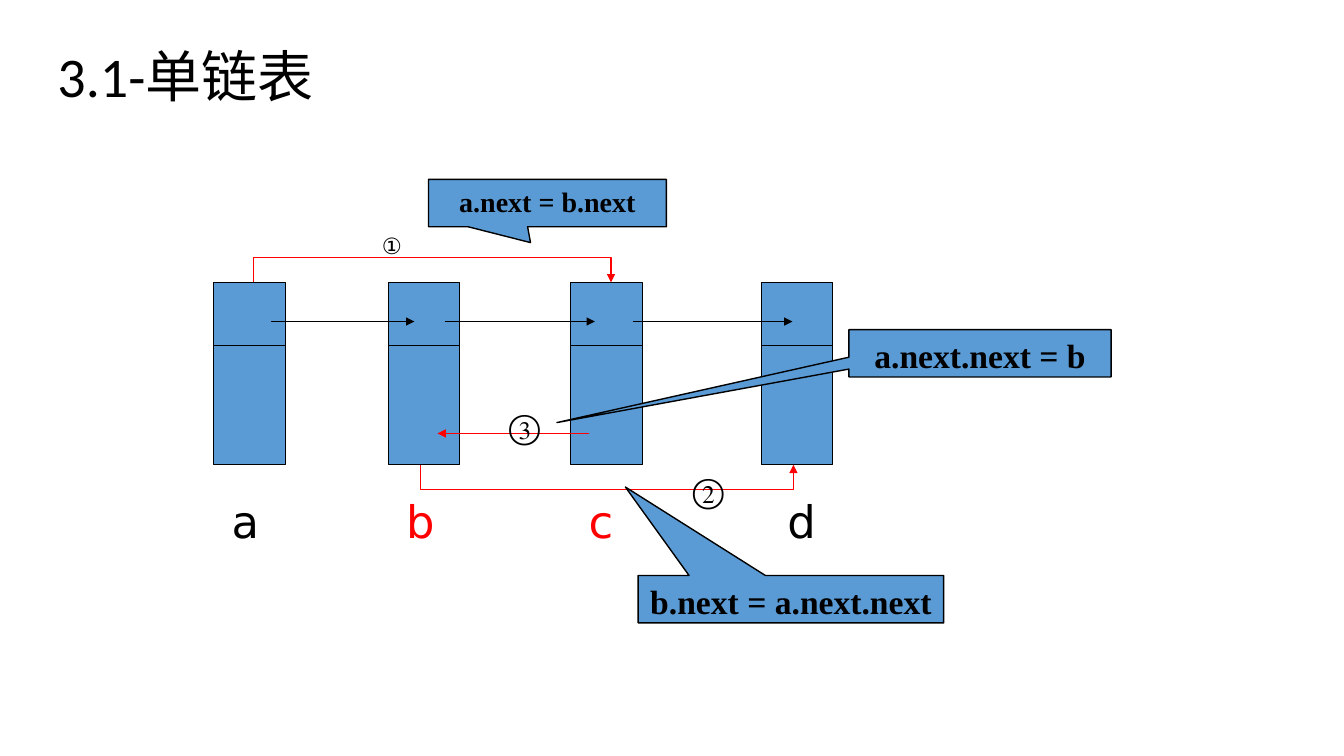
from dataclasses import dataclass

from lxml.etree import SubElement
from pptx import Presentation
from pptx.dml.color import RGBColor
from pptx.enum.shapes import MSO_CONNECTOR, MSO_SHAPE
from pptx.enum.text import MSO_ANCHOR, PP_ALIGN
from pptx.oxml.ns import qn
from pptx.util import Inches, Pt

COLORS = {"node": "5B9BD5", "ink": "000000", "change": "FF0000"}
SERIF, SANS = "Times New Roman", "DejaVu Sans"
NODE_TOP, NODE_WIDTH, NODE_HEIGHT = 2.8, 0.71, 1.81
DIVIDER_Y, LINK_Y, LABEL_Y = 3.43, 3.19, 4.85
BEND_DEPTH, BEND_THICKNESS = 0.25, 0.002


@dataclass
class Node:
    name: str
    left: float
    label_left: float
    label_width: float
    color: str


@dataclass
class Arrow:
    start: float
    end: float
    y: float
    color: str


@dataclass
class Bend:
    start: float
    end: float
    y: float
    rotation: int
    flip: str
    depth: float


@dataclass
class Callout:
    text: str
    left: float
    top: float
    width: float
    size: int
    tip: tuple[float, float]


@dataclass
class Step:
    text: str
    left: float
    top: float
    width: float
    height: float
    size: int
    font: str
    wrap: bool
    before: int


NODES = [
    Node("a", 2.12, 2.2, 0.41, "ink"),
    Node("b", 3.85, 3.93, 0.41, "change"),
    Node("c", 5.66, 5.74, 0.63, "change"),
    Node("d", 7.55, 7.71, 0.71, "ink"),
]
ARROWS = [
    Arrow(2.69, 4.11, LINK_Y, "ink"),
    Arrow(4.41, 5.9, LINK_Y, "ink"),
    Arrow(6.28, 7.86, LINK_Y, "ink"),
    Arrow(5.84, 4.34, 4.3, "change"),
]
BENDS = [
    Bend(2.51, 6.06, NODE_TOP, 90, "flipV", -BEND_DEPTH),
    Bend(4.17, 7.87, NODE_TOP + NODE_HEIGHT, 270, "flipH", BEND_DEPTH),
]
CALLOUTS = [
    Callout("a.next = b.next", 4.25, 1.78, 2.36, 20, (-0.071, 0.835)),
    Callout("a.next.next = b", 8.42, 3.27, 2.6, 24, (-1.614, 1.463)),
    Callout("b.next = a.next.next", 6.33, 5.71, 3.03, 24, (-0.542, -2.368)),
]
STEPS = [
    Step("①", 3.69, 2.25, 0.42, 0.37, 16, SANS, False, 0),
    Step("③", 4.95, 3.98, 0.47, 0.4, 24, SERIF, True, 0),
    Step("②", 6.77, 4.61, 0.45, 0.4, 24, SERIF, False, 0),
]


def rgb(color: str) -> RGBColor:
    return RGBColor.from_string(COLORS[color])


def write(shape, text: str, color: str = "ink", align=PP_ALIGN.LEFT, **formats) -> None:
    para = shape.text_frame.paragraphs[0]
    para.alignment = align
    span = para.add_run()
    span.text = text
    span.font.color.rgb = rgb(color)
    for name, value in formats.items():
        setattr(span.font, name, value)


def add_box(page, kind, left: float, top: float, width: float, height: float, line: float):
    box = page.shapes.add_shape(kind, *map(Inches, (left, top, width, height)))
    box.shadow.inherit = False
    box.fill.solid()
    box.fill.fore_color.rgb = rgb("node")
    box.line.color.rgb = rgb("ink")
    box.line.width = Pt(line)
    return box


def add_line(page, kind, start: float, end: float, y: float, color: str, arrow: bool):
    line = page.shapes.add_connector(kind, *map(Inches, (start, y, end, y)))
    line.line.color.rgb = rgb(color)
    line.line.width = Pt(0.75)
    if arrow:
        SubElement(line.line._get_or_add_ln(), qn("a:tailEnd"), type="triangle")
    SubElement(line._element.spPr, qn("a:effectLst"))
    return line


def add_bend(page, bend: Bend) -> None:
    line = add_line(page, MSO_CONNECTOR.ELBOW, bend.start, bend.end, bend.y, "change", True)
    span = bend.end - bend.start
    line.left = Inches((bend.start + bend.end - BEND_THICKNESS) / 2)
    line.top = Inches(bend.y - span / 2)
    line.width, line.height = Inches(BEND_THICKNESS), Inches(span)
    properties = line._element.spPr
    frame = properties.find(qn("a:xfrm"))
    frame.set("rot", str(bend.rotation * 60000))
    frame.set(bend.flip, "1")
    guides = properties.find(qn("a:prstGeom")).get_or_add_avLst()
    depth = round(bend.depth / BEND_THICKNESS * 100000)
    SubElement(guides, qn("a:gd"), name="adj1", fmla=f"val {depth}")


def add_text(page, left: float, top: float, width: float, height: float, wrap: bool):
    box = page.shapes.add_textbox(*map(Inches, (left, top, width, height)))
    box.text_frame.word_wrap = wrap
    return box


def add_callout(page, callout: Callout) -> None:
    box = add_box(page, MSO_SHAPE.RECTANGULAR_CALLOUT, callout.left, callout.top,
                  callout.width, 0.47, 1)
    box.adjustments[0], box.adjustments[1] = callout.tip
    box.text_frame.vertical_anchor = MSO_ANCHOR.TOP
    write(box, callout.text, align=PP_ALIGN.CENTER,
          size=Pt(callout.size), name=SERIF, bold=True)


def main() -> None:
    deck = Presentation()
    deck.slide_width, deck.slide_height = Inches(13.33), Inches(7.5)
    page = deck.slides.add_slide(deck.slide_layouts[0])

    # Title
    subtitle = page.placeholders[1].element
    subtitle.getparent().remove(subtitle)
    title = page.shapes.title
    title.left, title.top = Inches(0.47), Inches(0.5)
    title.width, title.height = Inches(6.42), Inches(0.64)
    title.text_frame.vertical_anchor = MSO_ANCHOR.BOTTOM
    write(title, "3.1-单链表", size=Pt(40), name="Calibri")
    title.text_frame.paragraphs[0].line_spacing = 0.9

    # List nodes with their names
    for node in NODES:
        add_box(page, MSO_SHAPE.RECTANGLE, node.left, NODE_TOP, NODE_WIDTH, NODE_HEIGHT, 0.75)
        add_line(page, MSO_CONNECTOR.STRAIGHT, node.left, node.left + NODE_WIDTH,
                 DIVIDER_Y, "ink", False)
        label = add_text(page, node.label_left, LABEL_Y, node.label_width, 0.63, True)
        write(label, node.name, node.color, size=Pt(32), name=SANS)

    # Links before and after the swap
    for arrow in ARROWS:
        add_line(page, MSO_CONNECTOR.STRAIGHT, arrow.start, arrow.end, arrow.y, arrow.color, True)
    for bend in BENDS:
        add_bend(page, bend)

    # Step numbers and their statements
    for step in STEPS:
        box = add_text(page, step.left, step.top, step.width, step.height, step.wrap)
        write(box, step.text, size=Pt(step.size), name=step.font)
        box.text_frame.paragraphs[0].space_before = Pt(step.before)
    for callout in CALLOUTS:
        add_callout(page, callout)

    deck.save("out.pptx")


if __name__ == "__main__":
    main()
